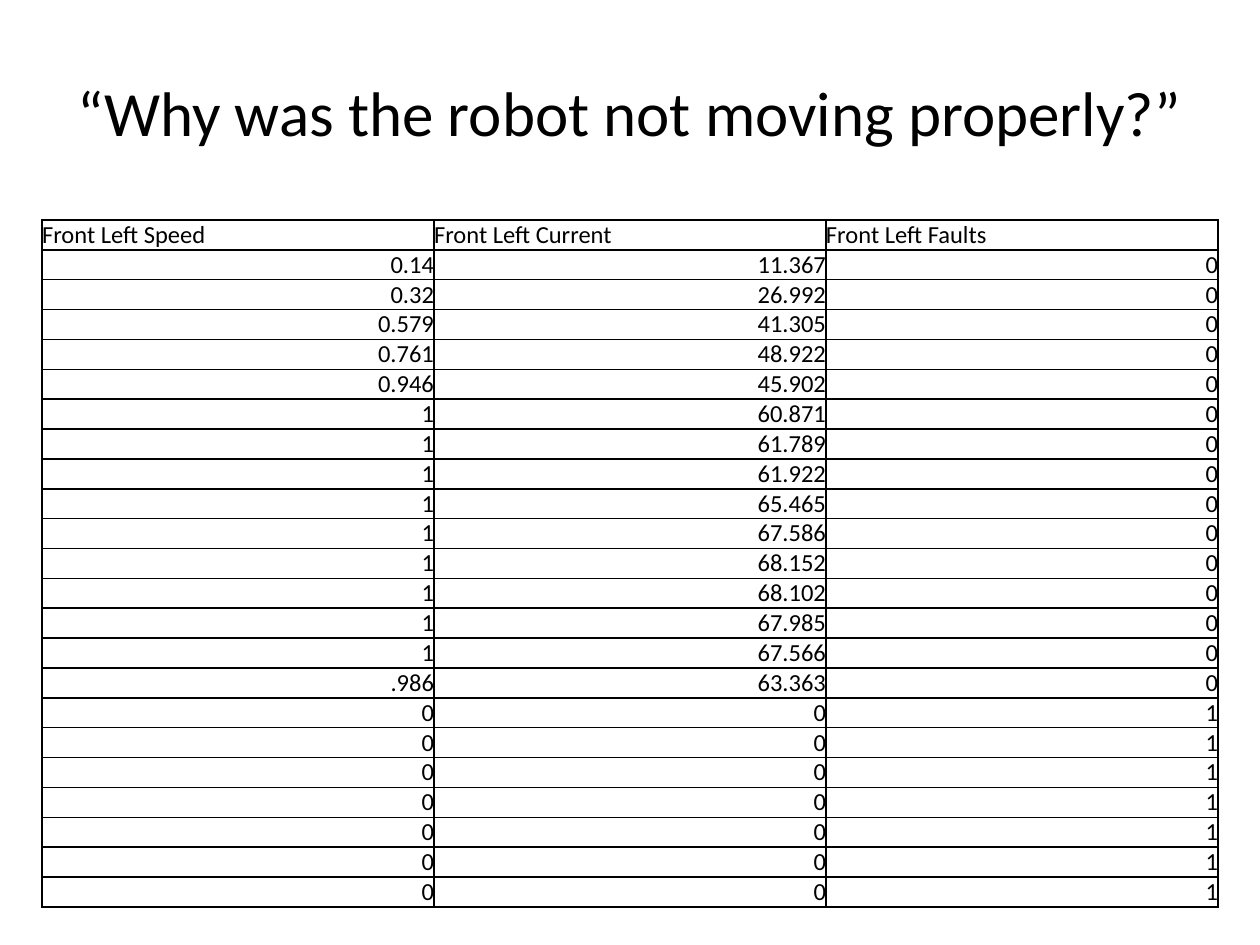
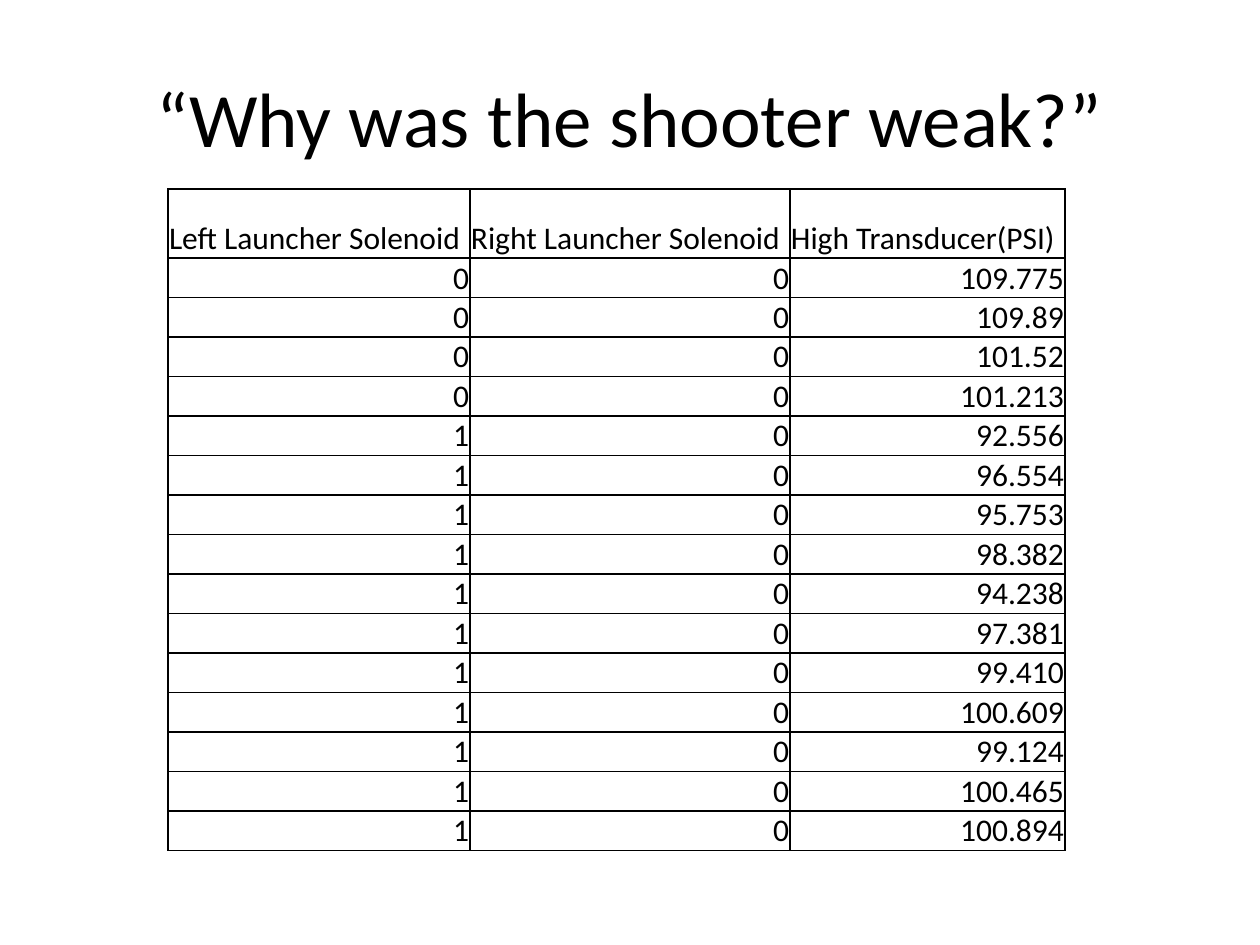
from lxml.etree import SubElement
from pptx import Presentation
from pptx.dml.color import RGBColor
from pptx.enum.text import MSO_ANCHOR as ANCHOR, PP_ALIGN as ALIGN
from pptx.oxml.ns import qn
from pptx.util import Emu, Pt

PX = 914400 // 126
FONT = "Calibri"
BLACK = RGBColor(0, 0, 0)
BORDER_PT = 1

DRIVE_HEADER = ("Front Left Speed", "Front Left Current", "Front Left Faults")
DRIVE_LOG = [
    ("0.14", "11.367", "0"),
    ("0.32", "26.992", "0"),
    ("0.579", "41.305", "0"),
    ("0.761", "48.922", "0"),
    ("0.946", "45.902", "0"),
    *[("1", current, "0") for current in (
        "60.871", "61.789", "61.922", "65.465", "67.586",
        "68.152", "68.102", "67.985", "67.566")],
    (".986", "63.363", "0"),
    *[("0", "0", "1")] * 7,
]

SHOOTER_HEADER = ("Left Launcher Solenoid", "Right Launcher Solenoid",
                  "High Transducer(PSI)")
IDLE_PSI = ("109.775", "109.89", "101.52", "101.213")
FIRING_PSI = ("92.556", "96.554", "95.753", "98.382", "94.238", "97.381",
              "99.410", "100.609", "99.124", "100.465", "100.894")
SHOOTER_LOG = ([("0", "0", psi) for psi in IDLE_PSI]
               + [("1", "0", psi) for psi in FIRING_PSI])


def px(n):
    return Emu(n * PX)


def write(tf, text, size, align=ALIGN.LEFT, color=BLACK):
    p = tf.paragraphs[0]
    p.alignment = align
    r = p.add_run()
    r.text = text
    r.font.name = FONT
    r.font.size = Pt(size)
    r.font.color.rgb = color


def add_title(s, text, box, size):
    title = s.shapes.title
    title.left, title.top, title.width, title.height = map(px, box)
    title.text_frame.vertical_anchor = ANCHOR.MIDDLE
    write(title.text_frame, text, size, ALIGN.CENTER)


def add_borders(cell, color=BLACK):
    tc_pr = cell._tc.get_or_add_tcPr()
    for i, side in enumerate(("lnL", "lnR", "lnT", "lnB")):
        ln = tc_pr.makeelement(qn(f"a:{side}"), {"w": str(Pt(BORDER_PT))})
        fill = SubElement(ln, qn("a:solidFill"))
        SubElement(fill, qn("a:srgbClr"), val=str(color))
        tc_pr.insert(i, ln)  # borders come before the fill


def add_log_table(s, header, log, left, top, col_widths, row_height,
                  header_height, size, inset=0):
    rows = [header, *log]
    height = header_height + row_height * len(log)
    frame = s.shapes.add_table(len(rows), len(header), px(left), px(top),
                               px(sum(col_widths)), px(height))
    table = frame.table
    table.first_row = table.horz_banding = False
    for column, width in zip(table.columns, col_widths):
        column.width = px(width)
    for i, values in enumerate(rows):
        table.rows[i].height = px(row_height if i else header_height)
        for j, value in enumerate(values):
            cell = table.cell(i, j)
            cell.fill.background()
            cell.vertical_anchor = ANCHOR.BOTTOM
            cell.margin_left = cell.margin_right = cell.margin_top = px(inset)
            cell.margin_bottom = 0
            write(cell.text_frame, value, size,
                  ALIGN.RIGHT if i else ALIGN.LEFT)
            add_borders(cell)


def main():
    prs = Presentation()
    prs.slide_width, prs.slide_height = px(1260), px(945)
    title_only = prs.slide_layouts[5]

    s = prs.slides.add_slide(title_only)
    add_title(s, "“Why was the robot not moving properly?”",
              (63, 32, 1134, 158), size=36)
    add_log_table(s, DRIVE_HEADER, DRIVE_LOG, left=42, top=220,
                  col_widths=(392, 392, 392), row_height=29,
                  header_height=29, size=14)

    s = prs.slides.add_slide(title_only)
    add_title(s, "“Why was the shooter weak?”", (63, 38, 1134, 158), size=44)
    add_log_table(s, SHOOTER_HEADER, SHOOTER_LOG, left=168, top=189,
                  col_widths=(302, 320, 275), row_height=38,
                  header_height=69, size=18, inset=1)

    prs.save("out.pptx")


if __name__ == "__main__":
    main()
